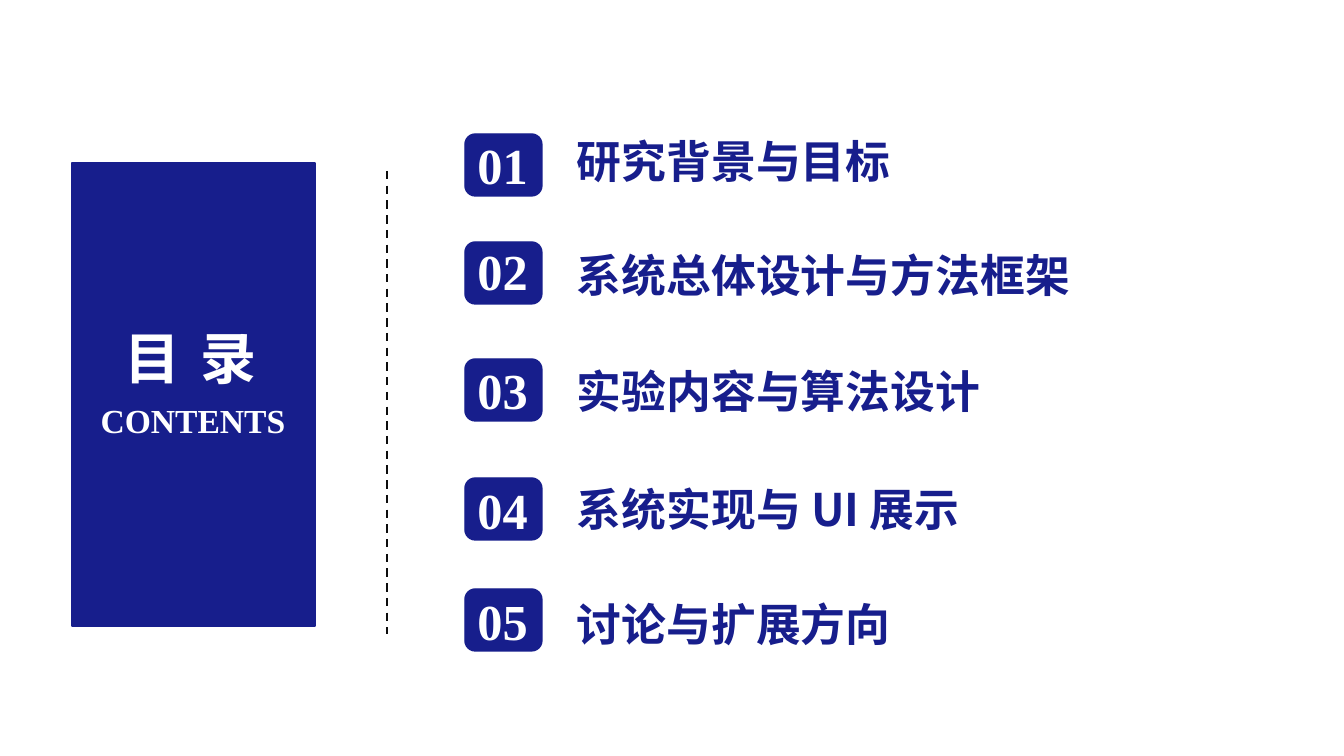
from dataclasses import dataclass

from lxml import etree
from pptx import Presentation
from pptx.dml.color import RGBColor
from pptx.enum.dml import MSO_LINE
from pptx.enum.shapes import MSO_CONNECTOR, MSO_SHAPE
from pptx.enum.text import MSO_ANCHOR, MSO_AUTO_SIZE, PP_ALIGN
from pptx.oxml import parse_xml
from pptx.oxml.ns import nsdecls, qn
from pptx.util import Emu, Pt

RECTANGLE = MSO_SHAPE.RECTANGLE
ROUNDED = MSO_SHAPE.ROUNDED_RECTANGLE
STRAIGHT = MSO_CONNECTOR.STRAIGHT
DASH = MSO_LINE.DASH
TOP = MSO_ANCHOR.TOP
GROW = MSO_AUTO_SIZE.SHAPE_TO_FIT_TEXT
LEFT = PP_ALIGN.LEFT
CENTER = PP_ALIGN.CENTER
TITLE_ONLY = 5
EMU_PER_PX = 914400 / 100.8


@dataclass(frozen=True)
class Theme:
    """Colours, fonts and type sizes of the slide."""
    navy: str = "171E8C"
    white: str = "FFFFFF"
    divider: str = "0D0D0D"
    chinese: str = "Noto Sans CJK SC"
    latin: str = "Times New Roman"
    title: int = 40
    subtitle: int = 24
    number: int = 36
    label: int = 32


THEME = Theme()

SECTIONS = [
    ("研究背景与目标", 134, 129, 129, 470),
    ("系统总体设计与方法框架", 242, 235, 243, 537),
    ("实验内容与算法设计", 359, 354, 359, 438),
    ("系统实现与 UI 展示", 478, 474, 477, 438),
    ("讨论与扩展方向", 589, 585, 592, 697),
]


def px(*lengths):
    """Turn pixel lengths into EMU."""
    return [Emu(round(length * EMU_PER_PX)) for length in lengths]


def add_text_shadow(properties):
    """Put a soft dark shadow behind the letters of a run."""
    shadow = parse_xml(
        f'<a:effectLst {nsdecls("a")}>'
        '<a:outerShdw blurRad="38100" dist="38100" dir="2700000" algn="tl">'
        '<a:srgbClr val="000000"><a:alpha val="43000"/></a:srgbClr>'
        '</a:outerShdw></a:effectLst>')
    properties.find(qn("a:solidFill")).addnext(shadow)


def write(box, text, *, size, font, color, align=LEFT, spacing=0, shadow=False):
    """Write one bold line of text into a box."""
    frame = box.text_frame
    frame.word_wrap = True
    frame.auto_size = GROW
    frame.vertical_anchor = TOP
    para = frame.paragraphs[0]
    para.alignment = align
    span = para.add_run()
    span.text = text
    span.font.size = Pt(size)
    span.font.bold = True
    span.font.color.rgb = RGBColor.from_string(color)
    span.font.name = font
    properties = span.font._element
    east_asian = etree.Element(qn("a:ea"), typeface=font)
    properties.find(qn("a:latin")).addnext(east_asian)
    if spacing:
        properties.set("spc", str(spacing * 100))
    if shadow:
        add_text_shadow(properties)


def add_text(page, bounds, text, **style):
    """Add a text box holding one line."""
    write(page.shapes.add_textbox(*px(*bounds)), text, **style)


def add_block(page, kind, bounds):
    """Add a navy shape without a shadow."""
    block = page.shapes.add_shape(kind, *px(*bounds))
    block.shadow.inherit = False
    block.fill.solid()
    block.fill.fore_color.rgb = RGBColor.from_string(THEME.navy)
    block.line.color.rgb = RGBColor.from_string(THEME.navy)
    block.line.width = Pt(1)


def add_divider(page, x, top, bottom):
    """Add the dashed vertical line."""
    divider = page.shapes.add_connector(STRAIGHT, *px(x, top, x, bottom))
    divider.line.color.rgb = RGBColor.from_string(THEME.divider)
    divider.line.width = Pt(1.5)
    divider.line.dash_style = DASH
    etree.SubElement(divider.element.spPr, qn("a:effectLst"))


def add_title(page):
    """Place the title on the panel, in front of it."""
    title = page.shapes.title
    title.left, title.top, title.width, title.height = px(99, 318, 183, 78)
    write(title, "目 录", size=THEME.title, font=THEME.chinese,
          color=THEME.white, align=CENTER, spacing=3, shadow=True)
    title.element.getparent().append(title.element)


def add_section(page, number, label, badge_top, number_top, label_top, width):
    """Add one numbered entry of the contents."""
    add_text(page, (567, label_top, width, 65), label, size=THEME.label,
             font=THEME.chinese, color=THEME.navy)
    add_block(page, ROUNDED, (465, badge_top, 77, 62))
    add_text(page, (447, number_top, 111, 72), f"{number:02}",
             size=THEME.number, font=THEME.latin, color=THEME.white,
             align=CENTER)


def main():
    """Build the contents slide and save it."""
    deck = Presentation()
    deck.slide_width, deck.slide_height = px(1344, 756)
    page = deck.slides.add_slide(deck.slide_layouts[TITLE_ONLY])
    add_block(page, RECTANGLE, (72, 163, 243, 463))
    add_title(page)
    add_text(page, (37, 395, 312, 50), "CONTENTS", size=THEME.subtitle,
             font=THEME.latin, color=THEME.white, align=CENTER, shadow=True)
    add_divider(page, 387, 171, 634)
    for number, section in enumerate(SECTIONS, start=1):
        add_section(page, number, *section)
    deck.save("out.pptx")


if __name__ == "__main__":
    main()
